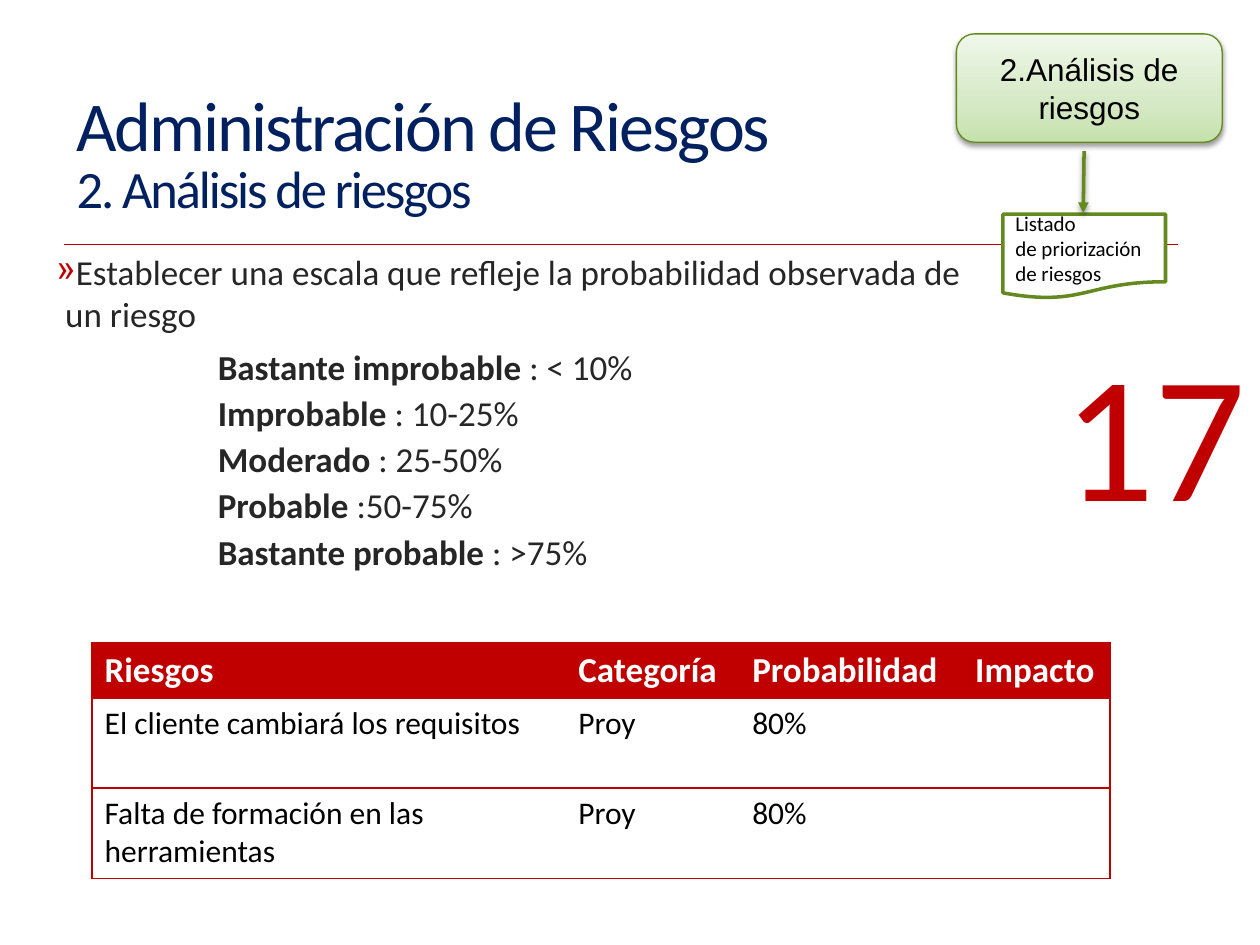
from lxml import etree
from pptx import Presentation
from pptx.dml.color import RGBColor
from pptx.enum.shapes import MSO_CONNECTOR, MSO_SHAPE
from pptx.enum.text import MSO_ANCHOR, PP_ALIGN
from pptx.oxml.ns import qn
from pptx.util import Pt

MIDDLE, BOTTOM, TOP = MSO_ANCHOR.MIDDLE, MSO_ANCHOR.BOTTOM, MSO_ANCHOR.TOP
LEFT, CENTER, RIGHT = PP_ALIGN.LEFT, PP_ALIGN.CENTER, PP_ALIGN.RIGHT
STRAIGHT = MSO_CONNECTOR.STRAIGHT
ROUNDED, DOCUMENT = MSO_SHAPE.ROUNDED_RECTANGLE, MSO_SHAPE.FLOWCHART_DOCUMENT

# Content
NBSP = chr(160)
TITLE, SUBTITLE = "Administración de Riesgos", "2. Análisis de riesgos"
INTRO = "Establecer una escala que refleje la probabilidad observada de un riesgo"
SCALE = [
    ("Bastante improbable ", ": < 10%"),
    ("Improbable ", ": 10-25%"),
    ("Moderado ", ": 25-50%"),
    ("Probable ", ":50-75%"),
    ("Bastante probable ", ": >75%"),
]
PAGE = "17"
STEP = f"2.Análisis{NBSP}de riesgos"
OUTPUT = f"Listado de{NBSP}priorización{NBSP}de riesgos"
RISKS = [
    ("Riesgos", "Categoría", "Probabilidad", "Impacto"),
    ("El cliente cambiará los requisitos", "Proy", "80%", ""),
    ("Falta de formación en las herramientas", "Proy", "80%", ""),
]
COLUMN_WIDTHS = [270.7, 99.4, 127.4, 84.2]
ROW_HEIGHTS = [31.6, 51.6, 51.6]

RED, NAVY, GREEN, DARK = "C00000", "002060", "63891F", "262626"
BLACK, WHITE = "000000", "FFFFFF"
STEP_GRADIENT = [(0, "C5E1AB"), (35, "D6E9C5"), (100, "EFF7E9")]
NO_GRID_STYLE = "{2D5ABB26-0587-4C30-8999-92F81FD0307C}"


def rgb(value):
    return RGBColor.from_string(value)


def child(parent, tag, **attributes):
    return etree.SubElement(parent, qn(tag), {k: str(v) for k, v in attributes.items()})


def add_run(paragraph, text, size, color, font="Calibri", bold=False, tracking=0):
    run = paragraph.add_run()
    run.text = text
    run.font.name, run.font.size, run.font.bold = font, Pt(size), bold
    run.font.color.rgb = rgb(color)
    if tracking:
        run._r.get_or_add_rPr().set("spc", str(int(tracking * 100)))


def set_frame(shape, anchor, align=LEFT):
    frame = shape.text_frame
    frame.word_wrap, frame.vertical_anchor = True, anchor
    frame.paragraphs[0].alignment = align
    return frame


def add_box(box, anchor, align=LEFT):
    return set_frame(slide.shapes.add_textbox(*map(Pt, box)), anchor, align)


def add_block(preset, box, line_color, line_width):
    block = slide.shapes.add_shape(preset, *map(Pt, box))
    block.shadow.inherit = False
    block.line.color.rgb = rgb(line_color)
    block.line.width = Pt(line_width)
    return block


def add_line(start, end, color, width):
    line = slide.shapes.add_connector(STRAIGHT, *map(Pt, start + end))
    line.line.color.rgb = rgb(color)
    line.line.width = Pt(width)
    child(line._element.spPr, "a:effectLst")
    return line


def add_shadow(shape):
    effects = shape._element.spPr.find(qn("a:effectLst"))
    shadow = child(effects, "a:outerShdw", blurRad=Pt(3.1), dist=Pt(1.6),
                   dir=5400000, rotWithShape=0)
    child(child(shadow, "a:srgbClr", val=BLACK), "a:alpha", val=38000)


def set_gradient(shape, stops):
    shape.fill.gradient()
    shape.fill.gradient_angle = 90
    stop_list = shape._element.spPr.find(".//" + qn("a:gsLst"))
    for old in list(stop_list):
        stop_list.remove(old)
    for position, color in stops:
        child(child(stop_list, "a:gs", pos=position * 1000), "a:srgbClr", val=color)


def set_borders(cell, sides):
    properties = cell._tc.get_or_add_tcPr()
    for side in sides:
        border = child(properties, "a:ln" + side, w=Pt(1))
        child(child(border, "a:solidFill"), "a:srgbClr", val=RED)


prs = Presentation()
prs.slide_width, prs.slide_height = Pt(720), Pt(540)
slide = prs.slides.add_slide(prs.slide_layouts[6])

# Title and rule
add_line((36.7, 139.7), (673.2, 139.7), "BC0000", 0.75)
heading = add_box((36.7, 39.6, 637.9, 100.1), MIDDLE).paragraphs[0]
heading.line_spacing = 0.85
add_run(heading, TITLE, 40, NAVY, tracking=-1.2)
heading.add_line_break()
add_run(heading, SUBTITLE, 30, NAVY, tracking=-1.2)

# Probability scale
body = add_box((25.2, 139.7, 547.2, 296.6), TOP)
intro = body.paragraphs[0]
intro.space_before = Pt(13)
intro_format = intro._p.get_or_add_pPr()
intro_format.set("marL", str(Pt(5)))
intro_format.set("indent", str(Pt(-5)))
child(child(intro_format, "a:buClr"), "a:srgbClr", val=RED)
child(intro_format, "a:buChar", char="»")
add_run(intro, INTRO, 20, DARK)
for index, (label, span) in enumerate(SCALE):
    level = body.add_paragraph()
    level.space_before = Pt(6)
    level.line_spacing = 0.85 if index else 1.0
    level._p.get_or_add_pPr().set("marL", str(Pt(92.2)))
    add_run(level, label, 20, DARK, bold=True)
    add_run(level, span, 20, DARK)

# Page number
page = add_box((546.5, 224.6, 172.8, 82.8), BOTTOM, RIGHT)
page.margin_bottom = 0
add_run(page.paragraphs[0], PAGE, 103, RED)

# Process step, its output and the arrow between them
step = add_block(ROUNDED, (546.5, 19.4, 151.9, 61.9), "62891C", 0.75)
set_gradient(step, STEP_GRADIENT)
add_shadow(step)
add_run(set_frame(step, MIDDLE, CENTER).paragraphs[0], STEP, 18, BLACK, "Arial")

output = add_block(DOCUMENT, (573.1, 122.4, 92.9, 48.2), GREEN, 2)
output.fill.solid()
output.fill.fore_color.rgb = rgb(WHITE)
add_run(set_frame(output, MIDDLE).paragraphs[0], OUTPUT, 12, BLACK)

arrow = add_line((619.5, 86.4), (619, 121.7), GREEN, 2)
child(arrow.line._get_or_add_ln(), "a:tailEnd", type="triangle")
add_shadow(arrow)

# Risk table
table = slide.shapes.add_table(
    len(RISKS), len(COLUMN_WIDTHS), Pt(52.6), Pt(367.2),
    Pt(sum(COLUMN_WIDTHS)), Pt(sum(ROW_HEIGHTS))).table
table._tbl.tblPr.find(qn("a:tableStyleId")).text = NO_GRID_STYLE
table.horz_banding = False
for column, width in zip(table.columns, COLUMN_WIDTHS):
    column.width = Pt(width)
last = len(COLUMN_WIDTHS) - 1
for r, (row, height) in enumerate(zip(RISKS, ROW_HEIGHTS)):
    table.rows[r].height = Pt(height)
    header = r == 0
    for c, text in enumerate(row):
        cell = table.cell(r, c)
        set_borders(cell, ("L" if c == 0 else "") + ("R" if c == last else "") + "TB")
        cell.fill.solid()
        cell.fill.fore_color.rgb = rgb(RED if header else WHITE)
        entry = cell.text_frame.paragraphs[0]
        if header or c == 0:
            entry.space_before = Pt(4)
        if text:
            add_run(entry, text, 20 if header else 18, WHITE if header else BLACK,
                    bold=header)

prs.save("out.pptx")
